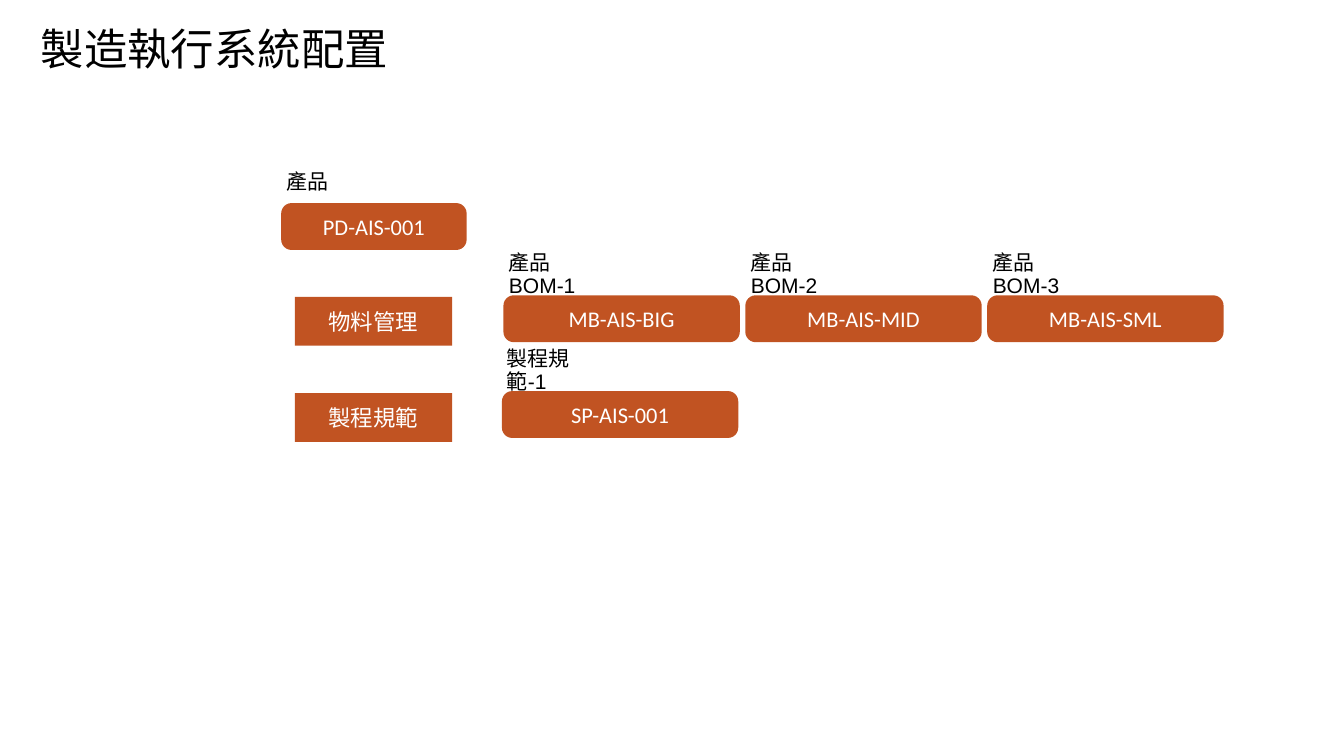
from dataclasses import dataclass

from pptx import Presentation
from pptx import util as u
from pptx.dml import color
from pptx.enum import shapes, text

PX = u.Inches(1) // 100
INSET = 6
COLORS = {"accent": "C15322", "light": "FFFFFF", "ink": "000000"}


@dataclass(frozen=True)
class Box:
    left: int
    top: int
    width: int
    height: int

    def emu(self) -> list[int]:
        return [n * PX for n in (self.left, self.top, self.width, self.height)]


@dataclass(frozen=True)
class Style:
    font: str
    size: int
    color: str
    align: text.PP_ALIGN
    spacing: float


@dataclass(frozen=True)
class Item:
    label: str
    label_box: Box
    code: str
    code_box: Box


TITLE = Style("Arial", 62, "ink", text.PP_ALIGN.LEFT, 0.9)
LABEL = Style("Arial", 30, "ink", text.PP_ALIGN.LEFT, 0.9)
BUTTON = Style("Calibri", 32, "light", text.PP_ALIGN.CENTER, 1.0)

BOM_LEFT, BOM_STEP = 999, 480
BOM_SIZES = ("BIG", "MID", "SML")
SECTIONS = {"物料管理": 589, "製程規範": 780}

ITEMS = [
    Item("產品", Box(562, 328, 97, 69), "PD-AIS-001", Box(558, 403, 368, 93)),
    Item("製程規範-1", Box(1000, 699, 206, 75), "SP-AIS-001", Box(996, 776, 469, 93)),
] + [
    Item(
        f"產品BOM-{index + 1}",
        Box(BOM_LEFT + 5 + index * BOM_STEP, 509, 222, 75),
        f"MB-AIS-{size}",
        Box(BOM_LEFT + index * BOM_STEP, 586, 469, 93),
    )
    for index, size in enumerate(BOM_SIZES)
]


def rgb(name: str) -> color.RGBColor:
    return color.RGBColor.from_string(COLORS[name])


def write(shape, content: str, style: Style) -> None:
    frame = shape.text_frame
    frame.word_wrap = True
    frame.auto_size = text.MSO_AUTO_SIZE.NONE
    frame.vertical_anchor = text.MSO_ANCHOR.MIDDLE
    frame.margin_left = frame.margin_right = INSET * PX
    frame.margin_top = frame.margin_bottom = INSET * PX
    paragraph = frame.paragraphs[0]
    paragraph.alignment = style.align
    paragraph.line_spacing = style.spacing
    run = paragraph.add_run()
    run.text = content
    run.font.name = style.font
    run.font.size = u.Pt(style.size)
    run.font.color.rgb = rgb(style.color)


def add_button(parent, box: Box, content: str, rounded: bool) -> None:
    kind = shapes.MSO_SHAPE.ROUNDED_RECTANGLE if rounded else shapes.MSO_SHAPE.RECTANGLE
    shape = parent.add_shape(kind, *box.emu())
    if rounded:
        shape.adjustments[0] = 0.22
    shape.shadow.inherit = False
    shape.fill.solid()
    shape.fill.fore_color.rgb = rgb("accent")
    shape.line.fill.background()
    write(shape, content, BUTTON)


def add_item(parent, item: Item) -> None:
    group = parent.add_group_shape()
    write(group.shapes.add_textbox(*item.label_box.emu()), item.label, LABEL)
    add_button(group.shapes, item.code_box, item.code, rounded=True)


def add_title(slide, box: Box, content: str) -> None:
    title = slide.shapes.title
    title.left, title.top, title.width, title.height = box.emu()
    write(title, content, TITLE)


def main() -> None:
    presentation = Presentation()
    presentation.slide_width, presentation.slide_height = 2667 * PX, 1500 * PX
    slide = presentation.slides.add_slide(presentation.slide_layouts[5])
    add_title(slide, Box(75, 37, 710, 132), "製造執行系統配置")
    for name, top in SECTIONS.items():
        add_button(slide.shapes, Box(585, top, 312, 97), name, rounded=False)
    for item in ITEMS:
        add_item(slide.shapes, item)
    presentation.save("out.pptx")


if __name__ == "__main__":
    main()
